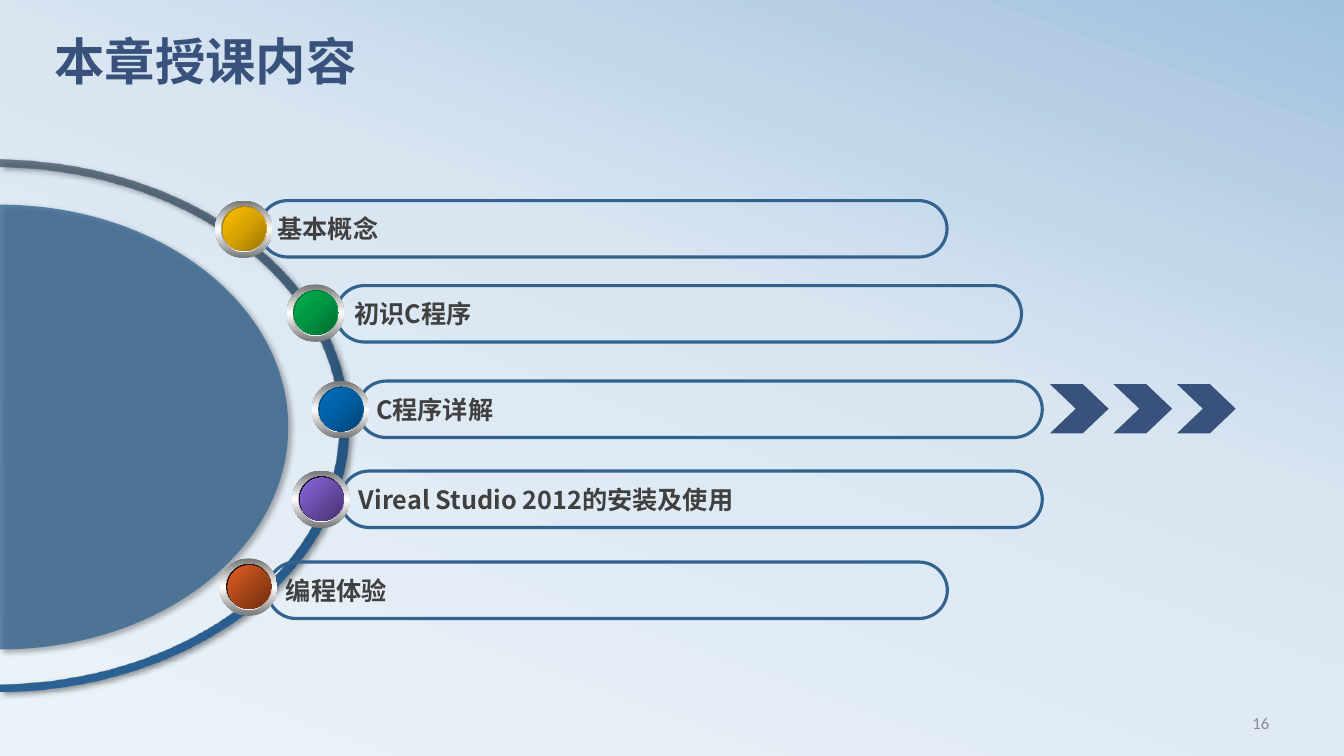
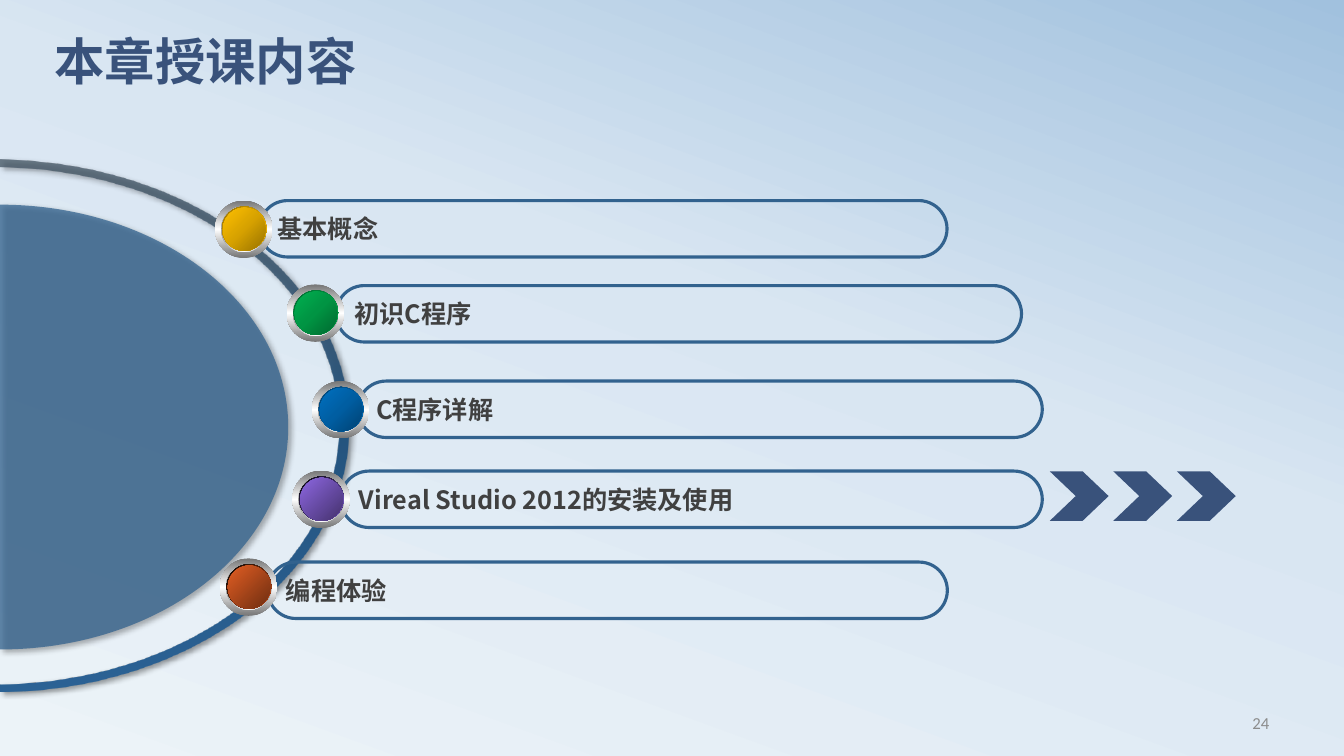
from lxml import etree
from pptx import Presentation
from pptx.dml.color import RGBColor
from pptx.enum.shapes import MSO_SHAPE
from pptx.enum.text import MSO_ANCHOR, PP_ALIGN
from pptx.oxml.ns import qn
from pptx.util import Pt

ROUNDED = MSO_SHAPE.ROUNDED_RECTANGLE
OVAL = MSO_SHAPE.OVAL
CHEVRON = MSO_SHAPE.CHEVRON
TOP = MSO_ANCHOR.TOP
MIDDLE = MSO_ANCHOR.MIDDLE
LEFT = PP_ALIGN.LEFT
RIGHT = PP_ALIGN.RIGHT

COLORS = {
    "navy": "39527B", "steel": "32628E", "text": "404040", "number": "8C8C8C",
    "sky_pale": "ECF3F8", "sky_mid": "D9E6F2", "sky_deep": "A1C1DE",
    "arc_top": "445462", "arc_mid": "24537D", "arc_bottom": "2B6295",
    "ring": "767676", "chrome": "A2A2A2", "white": "FFFFFF", "black": "000000",
    "yellow": "FFC000", "yellow_mid": "D7A200", "yellow_dark": "977200",
    "green": "00B050", "green_mid": "009443", "green_dark": "00682F",
    "blue": "0070C0", "blue_mid": "005EA2", "blue_dark": "004272",
    "purple": "8D67E1", "purple_dark": "45326D",
    "orange": "E35E23", "orange_dark": "6E2E11",
}

TITLE = "本章授课内容"
CHAPTERS = [
    ("编程体验", 191.2, 401.5, 485.5, 157, 398.9,
     ["black", "orange"], ["orange", "orange_dark"]),
    ("Vireal Studio 2012的安装及使用", 243.4, 336.5, 501.1, 208.8, 336.2,
     ["black", "purple"], ["purple", "purple_dark"]),
    ("C程序详解", 255.6, 272.2, 488.9, 222.8, 272.2,
     ["blue_dark", "blue_mid", "blue"], ["blue", "blue_mid", "blue_dark"]),
    ("初识C程序", 240.1, 204, 489.6, 204.8, 203.2,
     ["green_dark", "green_mid", "green"], ["green", "green_mid", "green_dark"]),
    ("基本概念", 185.3, 143.3, 491.2, 153.6, 143.3,
     ["yellow_dark", "yellow_mid", "yellow"], ["yellow", "yellow_mid", "yellow_dark"]),
]
SLIDES = [("16", 274.3), ("24", 336.7)]
BAR_HEIGHT = 40.3

ARC = [
    (0, 119.5), (133.9, 121), (241.9, 203), (241.9, 303.8),
    (241.9, 404.6), (133.9, 486.7), (0, 488.2),
    (0, 493.9), (138.2, 492.5), (249.1, 407.5), (249.1, 303.8),
    (249.1, 200.2), (138.2, 115.9), (0, 113.8),
]
DOME = [
    (0, 146.2), (113.8, 146.2), (205.9, 217.4), (205.9, 305.1),
    (205.9, 392.8), (113.8, 463.9), (0, 463.9),
]
ARC_CURVES = [1, 4, 8, 11]
DOME_CURVES = [1, 4]


def set_gradient(fill, element, names, angle, positions=None):
    fill.gradient()
    fill.gradient_angle = (360 - angle) % 360
    stops = element.find(".//" + qn("a:gsLst"))
    stops.clear()
    for index, name in enumerate(names):
        position = positions[index] if positions else 100 * index / (len(names) - 1)
        stop = etree.SubElement(stops, qn("a:gs"), pos=str(round(position * 1000)))
        etree.SubElement(stop, qn("a:srgbClr"), val=COLORS[name])


def write(shape, text, size, color, font, bold=False, align=LEFT, anchor=MIDDLE):
    frame = shape.text_frame
    frame.text = text
    frame.word_wrap = True
    frame.vertical_anchor = anchor
    paragraph = frame.paragraphs[0]
    paragraph.alignment = align
    run = paragraph.runs[0]
    run.font.size = Pt(size)
    run.font.bold = bold
    run.font.name = font
    run.font.color.rgb = RGBColor.from_string(COLORS[color])
    etree.SubElement(run._r.get_or_add_rPr(), qn("a:ea"), typeface="Noto Sans CJK SC")
    return paragraph


prs = Presentation()
prs.slide_width, prs.slide_height = Pt(960), Pt(540)
master = prs.slide_master
set_gradient(master.background.fill, master.element,
             ["sky_pale", "sky_mid", "sky_deep"], 290, [0, 58, 100])

for number, chevron_top in SLIDES:
    slide = prs.slides.add_slide(prs.slide_layouts[6])
    shapes = slide.shapes

    page_number = shapes.add_textbox(Pt(689.8), Pt(501.8), Pt(223.9), Pt(28.8))
    write(page_number, number, 12, "number", "Calibri", align=RIGHT)
    heading = shapes.add_textbox(Pt(31.7), Pt(26.3), Pt(864), Pt(67.7))
    write(heading, TITLE, 36, "navy", "Calibri", bold=True, anchor=TOP).line_spacing = 0.8

    for outline, curve_starts in ((ARC, ARC_CURVES), (DOME, DOME_CURVES)):
        points = [(Pt(x), Pt(y)) for x, y in outline]
        builder = shapes.build_freeform(*points[0])
        builder.add_line_segments(points[1:], close=True)
        crescent = builder.convert_to_shape()
        properties = crescent.element.spPr
        segments = list(properties.iter(qn("a:lnTo")))
        for start in curve_starts:
            trio = segments[start - 1:start + 2]
            bezier = etree.Element(qn("a:cubicBezTo"))
            trio[0].addprevious(bezier)
            for segment in trio:
                bezier.append(segment[0])
                segment.getparent().remove(segment)

        if outline is ARC:
            set_gradient(crescent.fill, crescent.element,
                         ["arc_top", "arc_mid", "arc_bottom"], 90)
        else:
            crescent.fill.solid()
            crescent.fill.fore_color.rgb = RGBColor.from_string(COLORS["steel"])
        first_color = properties.find(".//" + qn("a:srgbClr"))
        etree.SubElement(first_color, qn("a:alpha"), val="75000")
        crescent.line.fill.background()
        crescent.shadow.inherit = False
        effects = properties.find(qn("a:effectLst"))
        cast = etree.SubElement(effects, qn("a:outerShdw"), blurRad=str(Pt(4)),
                                dist=str(Pt(3)), dir="2700000", algn="tl", rotWithShape="0")
        cast_color = etree.SubElement(cast, qn("a:srgbClr"), val=COLORS["black"])
        etree.SubElement(cast_color, qn("a:alpha"), val="40000")

    for label, left, top, width, *badge in CHAPTERS:
        bar = shapes.add_shape(ROUNDED, Pt(left), Pt(top), Pt(width), Pt(BAR_HEIGHT))
        bar.adjustments[0] = 0.5
        bar.shadow.inherit = False
        bar.fill.background()
        bar.line.color.rgb = RGBColor.from_string(COLORS["steel"])
        bar.line.width = Pt(2.25)
        write(bar, label, 18, "text", "Noto Sans CJK SC", bold=True)

    for *bar_data, ring_left, ring_top, rim, face in CHAPTERS:
        layers = [
            (0, 0, 41, 41, ["ring", "white", "ring"], 90),
            (4.2, 4.2, 33, 32.5, ["chrome", "white", "chrome"], 0),
            (5, 4.2, 31.7, 31.7, rim, 45),
            (5.7, 5, 30.4, 30.9, face, 45),
        ]
        badge = shapes.add_group_shape()
        for dx, dy, width, height, names, angle in layers:
            disc = badge.shapes.add_shape(OVAL, Pt(ring_left + dx), Pt(ring_top + dy),
                                          Pt(width), Pt(height))
            disc.shadow.inherit = False
            disc.line.fill.background()
            set_gradient(disc.fill, disc.element, names, angle)

    pointer = shapes.add_group_shape()
    for step in range(3):
        chevron = pointer.shapes.add_shape(CHEVRON, Pt(749.9 + 45.4 * step), Pt(chevron_top),
                                           Pt(42), Pt(35.3))
        chevron.adjustments[0] = 0.525
        chevron.shadow.inherit = False
        chevron.fill.solid()
        chevron.fill.fore_color.rgb = RGBColor.from_string(COLORS["navy"])
        chevron.line.fill.background()

prs.save("out.pptx")
